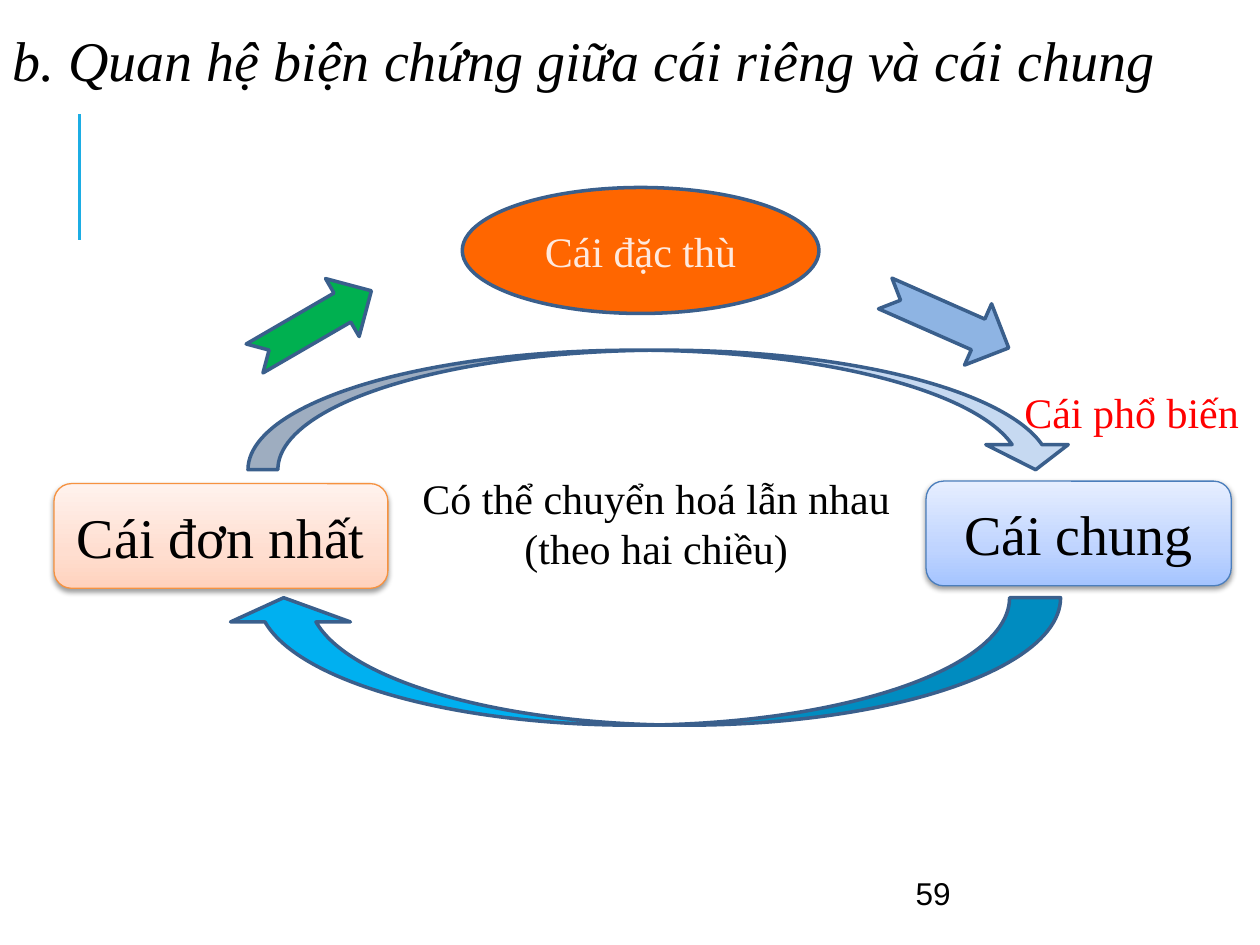
"""Build the slide on the dialectical relation between the particular and the general."""
from lxml import etree
from pptx import Presentation
from pptx import util as u
from pptx.dml.color import RGBColor
from pptx.enum import shapes, text
from pptx.oxml import ns

COLORS = {
    "black": "000000", "red": "FF0000", "cream": "FEE9DE", "accent": "1CADE4",
    "outline": "3A5F8C", "orange": "FF6600", "green": "00B050", "sky": "00B0F0",
    "pale blue": "C6D9F1", "soft blue": "8EB4E3",
    "blue edge": "4B7EBC", "orange edge": "F69240",
}
GRADIENTS = {
    "blue edge": ((0, "A4C4FF"), (35, "BFD4FF"), (100, "E6EEFF")),
    "orange edge": ((0, "FFD2BD"), (35, "FFDED0"), (100, "FFF2ED")),
}
SERIF = {"name": "Times New Roman", "size": u.Pt(24)}
LARGE = {**SERIF, "size": u.Pt(32)}
SANS = {"name": "Arial", "size": u.Pt(18)}
LEFT, CENTER = text.PP_ALIGN.LEFT, text.PP_ALIGN.CENTER
TOP, MIDDLE = text.MSO_ANCHOR.TOP, text.MSO_ANCHOR.MIDDLE
KIND = shapes.MSO_SHAPE

CARDS = [
    ("Cái chung", (18.67, 9.7, 6.15, 2.11), "blue edge"),
    ("Cái đơn nhất", (1.09, 9.75, 6.73, 2.11), "orange edge"),
]
FIGURES = [
    (KIND.CURVED_DOWN_ARROW, (5, 7.06, 16.71, 2.41), 0, "pale blue", (0.25, 0.69, 0.21), ""),
    (KIND.CURVED_LEFT_ARROW, (11.66, 4.9, 2.57, 16.87), 90, "sky", (0.4, 0.94, 0.19), ""),
    (KIND.OVAL, (9.32, 3.78, 7.19, 2.54), 0, "orange", (), "Cái đặc thù"),
    (KIND.NOTCHED_RIGHT_ARROW, (17.73, 5.79, 2.72, 1.35), 23.8, "soft blue", (), ""),
    (KIND.NOTCHED_RIGHT_ARROW, (4.95, 5.87, 2.72, 1.35), 329.9, "green", (), ""),
]
LABELS = [
    (["59"], (18.21, 17.35, 5.92, 1.32), SANS, "black", LEFT, MIDDLE, True, 1),
    (["Cái phổ biến"], (20.4, 7.67, 5.08, 1.3), SERIF, "red", LEFT, TOP, False, 1),
    (["Có thể chuyển hoá lẫn nhau", "(theo hai chiều)"], (6.88, 9.4, 12.7, 2.31),
     SERIF, "black", CENTER, TOP, True, 1),
    (["b. Quan hệ biện chứng giữa cái riêng và cái chung"], (0, 0, 25.4, 2.57),
     {**LARGE, "italic": True}, "black", LEFT, MIDDLE, True, 0.9),
]


def lengths(box):
    return [u.Cm(value) for value in box]


def write(shape, lines, font, color, align=CENTER, anchor=MIDDLE, wrap=True, spacing=1):
    frame = shape.text_frame
    frame.word_wrap, frame.vertical_anchor = wrap, anchor
    frame.text = "\n".join(lines)
    for paragraph in frame.paragraphs:
        paragraph.alignment, paragraph.line_spacing = align, spacing
        for run in paragraph.runs:
            for attribute, value in font.items():
                setattr(run.font, attribute, value)
            run.font.color.rgb = RGBColor.from_string(COLORS[color])


def outline(shape, color, width):
    shape.line.color.rgb = RGBColor.from_string(COLORS[color])
    shape.line.width = u.Pt(width)


def add_child(parent, tag, **attributes):
    return etree.SubElement(parent, ns.qn(tag), {key: str(value) for key, value in attributes.items()})


def add_card(slide, label, box, edge):
    shape = slide.shapes.add_shape(KIND.ROUNDED_RECTANGLE, *lengths(box))
    shape.fill.gradient()
    shape.fill.gradient_angle = 90
    stops = shape._element.spPr.find(".//" + ns.qn("a:gsLst"))
    for stop in list(stops):
        stops.remove(stop)
    for position, color in GRADIENTS[edge]:
        add_child(add_child(stops, "a:gs", pos=position * 1000), "a:srgbClr", val=color)
    outline(shape, edge, 0.75)
    shape.shadow.inherit = False
    effects = shape._element.spPr.find(ns.qn("a:effectLst"))
    shadow = add_child(effects, "a:outerShdw", blurRad=u.Pt(3.1), dist=u.Pt(1.6),
                       dir=5400000, rotWithShape=0)
    add_child(add_child(shadow, "a:srgbClr", val=COLORS["black"]), "a:alpha", val=38000)
    write(shape, [label], LARGE, "black")


def add_figure(slide, kind, box, rotation, fill, adjustments, label):
    shape = slide.shapes.add_shape(kind, *lengths(box))
    shape.rotation = rotation
    shape.shadow.inherit = False
    shape.fill.solid()
    shape.fill.fore_color.rgb = RGBColor.from_string(COLORS[fill])
    outline(shape, "outline", 2)
    for index, value in enumerate(adjustments):
        shape.adjustments[index] = value
    if label:
        write(shape, [label], SERIF, "cream")


def main():
    presentation = Presentation()
    presentation.slide_width, presentation.slide_height = u.Cm(25.4), u.Cm(19.05)
    slide = presentation.slides.add_slide(presentation.slide_layouts[6])
    rule = slide.shapes.add_connector(shapes.MSO_CONNECTOR.STRAIGHT, *lengths((1.6, 4.83, 1.6, 2.29)))
    outline(rule, "accent", 1.5)
    add_child(rule._element.spPr, "a:effectLst")
    for card in CARDS:
        add_card(slide, *card)
    for figure in FIGURES:
        add_figure(slide, *figure)
    for lines, box, *style in LABELS:
        write(slide.shapes.add_textbox(*lengths(box)), lines, *style)
    presentation.save("out.pptx")


if __name__ == "__main__":
    main()
